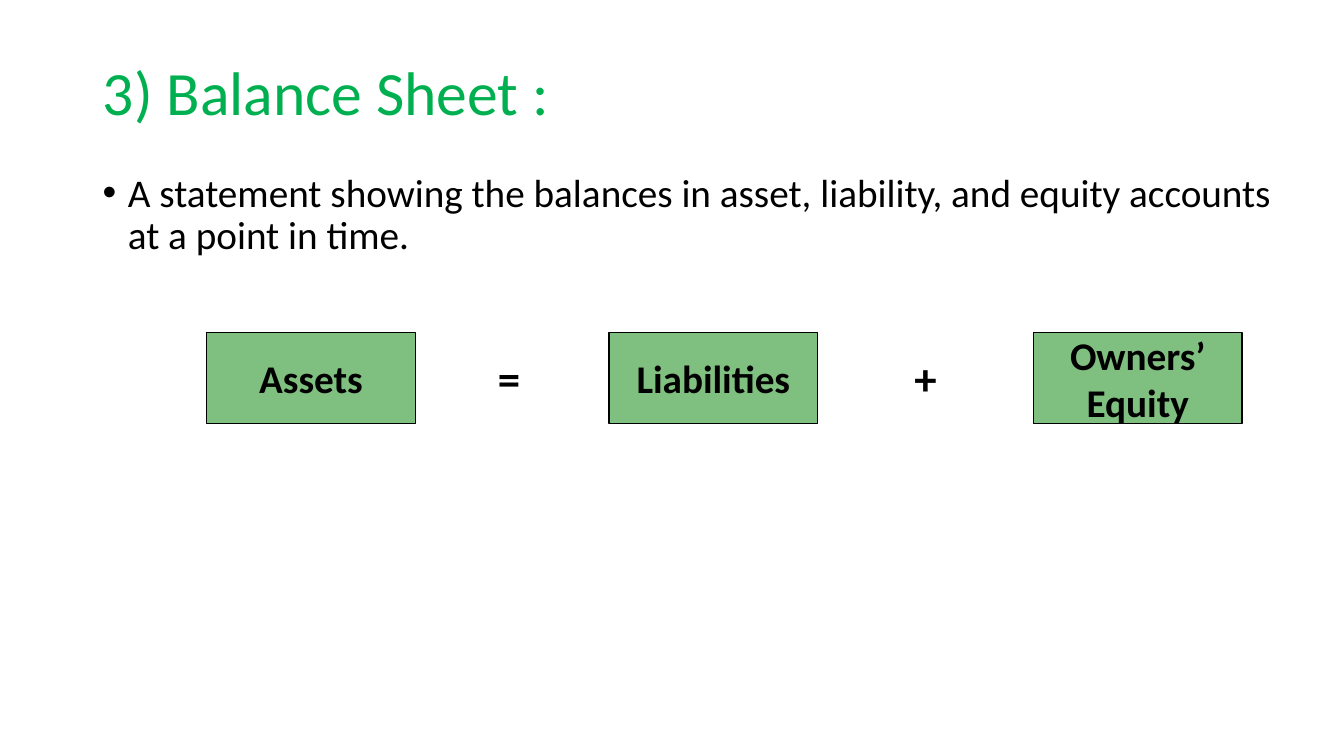
"""Build the balance sheet slide with the accounting equation."""
from lxml import etree
from pptx import Presentation
from pptx.dml.color import RGBColor
from pptx.enum import shapes, text
from pptx.oxml import ns
from pptx.util import Inches, Pt

TITLE_GREEN = RGBColor(0x00, 0xB0, 0x50)
BOX_GREEN = RGBColor(0x00, 0x80, 0x00)
BLACK = RGBColor(0x00, 0x00, 0x00)


def style(paragraph, size, color=BLACK, bold=False, align=text.PP_ALIGN.LEFT):
    paragraph.alignment = align
    font = paragraph.font
    font.name, font.size, font.bold = "Calibri", Pt(size), bold
    font.color.rgb = color


deck = Presentation()
deck.slide_width, deck.slide_height = Inches(13.33), Inches(7.5)
slide = deck.slides.add_slide(deck.slide_layouts[5])

title = slide.shapes.title
title.left, title.top = Inches(0.92), Inches(0.22)
title.width, title.height = Inches(11.5), Inches(1.45)
title.text_frame.text = "3) Balance Sheet :"
title.text_frame.auto_size = text.MSO_AUTO_SIZE.NONE
title.text_frame.vertical_anchor = text.MSO_ANCHOR.MIDDLE
heading = title.text_frame.paragraphs[0]
heading.line_spacing = 0.9
style(heading, 44, TITLE_GREEN)

definition = slide.shapes.add_textbox(
    Inches(0.92), Inches(1.67), Inches(12.13), Inches(5.6)).text_frame
definition.word_wrap = True
definition.text = ("A statement showing the balances in asset, liability, "
                   "and equity accounts at a point in time.")
statement = definition.paragraphs[0]
statement.line_spacing = 0.9
style(statement, 28)
bullet_props = statement._p.get_or_add_pPr()
bullet_props.set("marL", str(Inches(0.25)))
bullet_props.set("indent", str(Inches(-0.25)))
bullet_font = etree.Element(ns.qn("a:buFont"), typeface="Arial")
bullet = etree.Element(ns.qn("a:buChar"), char="•")
default_run = bullet_props.find(ns.qn("a:defRPr"))
for mark in (bullet_font, bullet):
    default_run.addprevious(mark)

for left, term in ((2.05, "Assets"), (6.04, "Liabilities"), (10.25, "Owners’\nEquity")):
    box = slide.shapes.add_shape(
        shapes.MSO_SHAPE.RECTANGLE, Inches(left), Inches(3.3), Inches(2.07), Inches(0.9))
    box.shadow.inherit = False
    box.fill.solid()
    box.fill.fore_color.rgb = BOX_GREEN
    tint = box.fill._xPr.find(".//" + ns.qn("a:srgbClr"))
    etree.SubElement(tint, ns.qn("a:alpha"), val="50000")
    box.line.color.rgb = BLACK
    box.line.width = Pt(1)
    box.text_frame.text = term
    box.text_frame.word_wrap = False
    box.text_frame.vertical_anchor = text.MSO_ANCHOR.MIDDLE
    for line in box.text_frame.paragraphs:
        style(line, 28, bold=True, align=text.PP_ALIGN.CENTER)

for left, sign in ((4.84, "="), (8.97, "+")):
    operator = slide.shapes.add_textbox(
        Inches(left), Inches(3.43), Inches(0.42), Inches(0.64)).text_frame
    operator.word_wrap = True
    operator.auto_size = text.MSO_AUTO_SIZE.SHAPE_TO_FIT_TEXT
    operator.text = sign
    style(operator.paragraphs[0], 32, bold=True)

deck.save("out.pptx")
